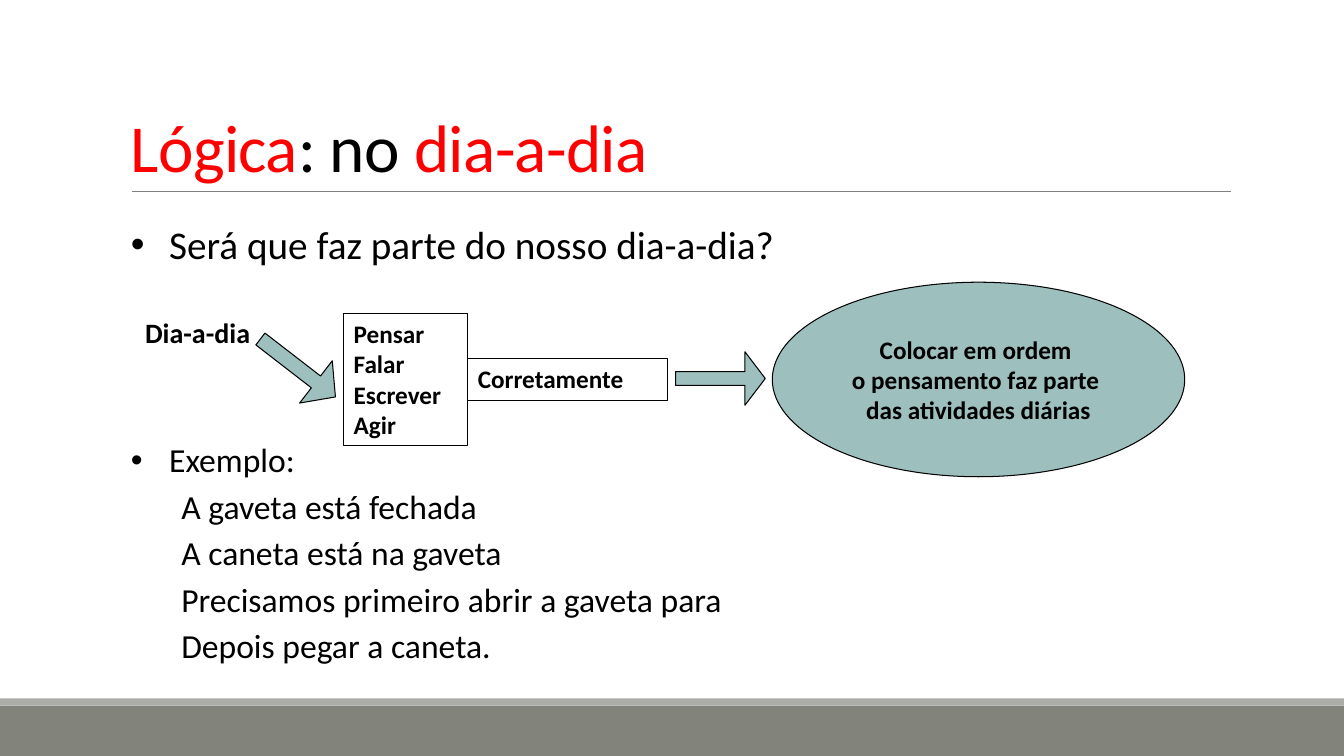
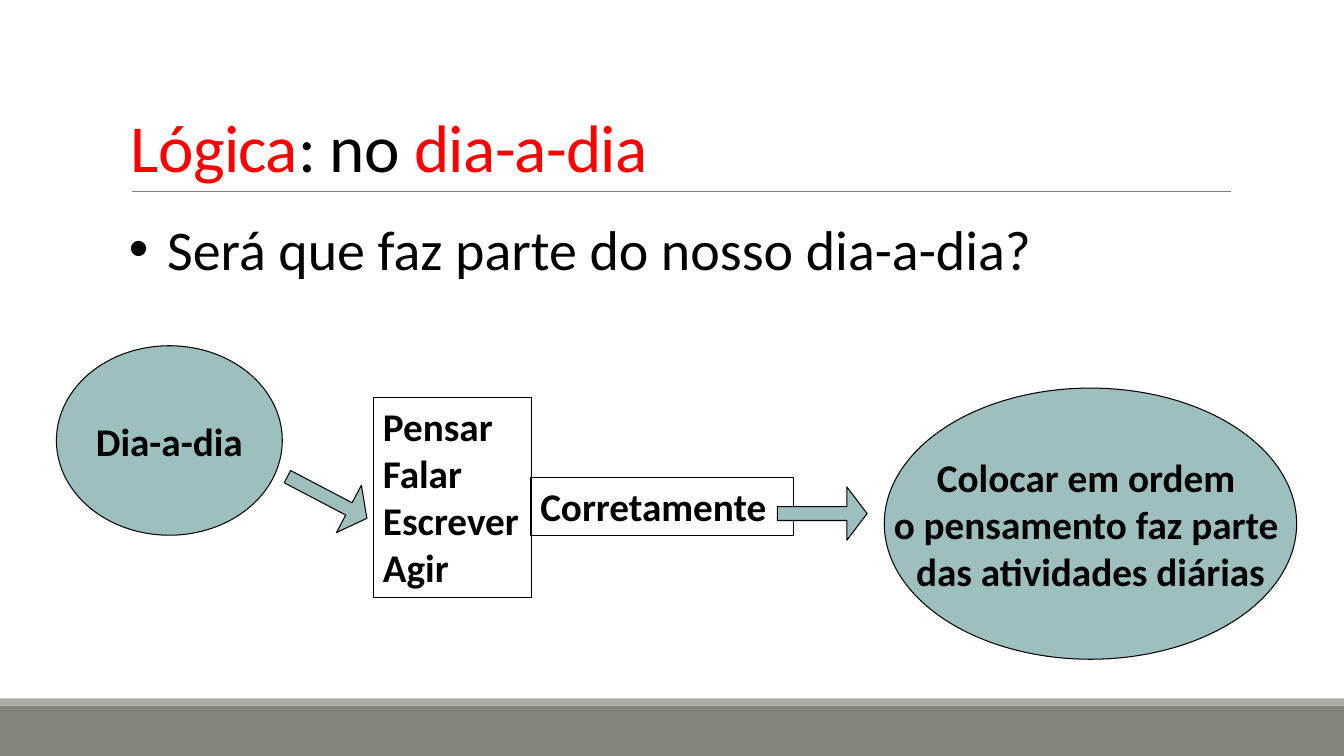
import pptx
import pptx.util
import pptx.dml.color
import pptx.enum.shapes
import pptx.enum.text
import lxml.etree

PX = 9144
NS = "{http://schemas.openxmlformats.org/drawingml/2006/main}"
SHAPE = pptx.enum.shapes.MSO_SHAPE
ANCHOR = pptx.enum.text.MSO_ANCHOR
ALIGN = pptx.enum.text.PP_ALIGN

VERBS = ["Pensar", "Falar", "Escrever", "Agir"]
GOAL = ["Colocar em ordem ", "o pensamento faz parte ", "das atividades diárias"]
QUESTION = "Será que faz parte do nosso dia-a-dia?"
EXAMPLE = [
    "A gaveta está fechada",
    "A caneta está na gaveta",
    "Precisamos primeiro abrir a gaveta para",
    "Depois pegar a caneta.",
]


def px(n):
    return pptx.util.Emu(n * PX)


def rgb(value):
    return pptx.dml.color.RGBColor.from_string(value)


class Deck:
    font = "Calibri"
    black = "000000"
    white = "FFFFFF"
    red = "FF0000"
    teal = "9DBFBE"
    grey = "808080"
    band = "82847C"
    band_edge = "ACADA8"

    def __init__(self):
        self.prs = pptx.Presentation()
        self.prs.slide_width, self.prs.slide_height = px(1333), px(750)
        self.s = None

    def slide(self):
        self.s = self.prs.slides.add_slide(self.prs.slide_layouts[6])
        self.shape(SHAPE.RECTANGLE, (0, 700, 1333, 50), self.band, None)
        self.shape(SHAPE.RECTANGLE, (0, 693, 1333, 7), self.band_edge, None)
        self.rule(131, 190, 1221)
        self.title([("Lógica", self.red), (": no ", self.black), ("dia-a-dia", self.red)])

    def rule(self, left, y, right):
        line = self.s.shapes.add_connector(
            pptx.enum.shapes.MSO_CONNECTOR.STRAIGHT, px(left), px(y), px(right), px(y))
        line.line.color.rgb = rgb(self.grey)
        line.line.width = pptx.util.Pt(0.5)
        lxml.etree.SubElement(line._element.spPr, NS + "effectLst")

    def shape(self, kind, box, fill, line=black):
        sp = self.s.shapes.add_shape(kind, *map(px, box))
        sp.shadow.inherit = False
        if fill:
            sp.fill.solid()
            sp.fill.fore_color.rgb = rgb(fill)
        else:
            sp.fill.background()
        if line:
            sp.line.color.rgb = rgb(line)
            sp.line.width = pptx.util.Pt(0.75)
        else:
            sp.line.fill.background()
        return sp

    def style_run(self, r, size, color=black, bold=False):
        r.font.name = self.font
        r.font.size = pptx.util.Pt(size)
        r.font.bold = bold
        r.font.color.rgb = rgb(color)

    def label(self, sp, lines, size, align, anchor, wrap):
        tf = sp.text_frame
        tf.text = "\n".join(lines)
        tf.word_wrap = wrap
        tf.vertical_anchor = anchor
        for p in tf.paragraphs:
            p.alignment = align
            self.style_run(p.runs[0], size, bold=True)

    def box(self, box, lines, size, fill=None, line=black):
        sp = self.shape(SHAPE.RECTANGLE, box, fill, line)
        self.label(sp, lines, size, ALIGN.LEFT, ANCHOR.TOP, True)

    def ellipse(self, box, lines, size):
        sp = self.shape(SHAPE.OVAL, box, self.teal)
        self.label(sp, lines, size, ALIGN.CENTER, ANCHOR.MIDDLE, False)

    def arrow(self, box, rotation, shaft=0.26, head=0.38):
        sp = self.shape(SHAPE.DOWN_ARROW, box, self.teal)
        sp.rotation = rotation
        sp.adjustments[0] = shaft
        sp.adjustments[1] = head

    def text_box(self, box):
        tf = self.s.shapes.add_textbox(*map(px, box)).text_frame
        tf.word_wrap = True
        return tf

    def title(self, parts):
        tf = self.text_box((120, 31, 1100, 159))
        tf.vertical_anchor = ANCHOR.BOTTOM
        p = tf.paragraphs[0]
        p.line_spacing = 0.85
        for text, color in parts:
            r = p.add_run()
            r.text = text
            self.style_run(r, 48, color)
            r.font._element.set("spc", "-50")

    def bullets(self, box, heading, size, details=()):
        tf = self.text_box(box)
        tf.text = "\n".join([heading, *details])
        for i, p in enumerate(tf.paragraphs):
            self.style_run(p.runs[0], size)
            pPr = p._p.get_or_add_pPr()
            margin, indent = (81, -31) if i else (38, -38)
            pPr.set("marL", str(px(margin)))
            pPr.set("indent", str(px(indent)))
            if i:
                p.level = 1
                p.space_before = pptx.util.Pt(4.3)
            else:
                lxml.etree.SubElement(pPr, NS + "buFont", typeface="Arial")
                lxml.etree.SubElement(pPr, NS + "buChar", char="•")


def main():
    deck = Deck()

    deck.slide()
    deck.bullets((120, 214, 1167, 60), QUESTION, 28)
    deck.bullets((120, 431, 1167, 250), "Exemplo:", 24, EXAMPLE)
    deck.box((134, 308, 137, 44), ["Dia-a-dia"], 20, deck.white, None)
    deck.arrow((269, 318, 53, 94), 307.7, 0.28, 0.46)
    deck.box((341, 311, 123, 131), VERBS, 18)
    deck.box((464, 356, 198, 41), ["Corretamente"], 18)
    deck.ellipse((766, 280, 409, 193), GOAL, 18)
    deck.arrow((688, 331, 53, 89), 270)

    deck.slide()
    deck.bullets((118, 208, 1167, 74), QUESTION, 40)
    deck.box((370, 394, 157, 199), VERBS, 28)
    deck.box((526, 474, 261, 57), ["Corretamente"], 28)
    deck.ellipse((877, 385, 409, 269), GOAL, 28)
    deck.arrow((789, 465, 53, 89), 270)
    deck.ellipse((56, 343, 224, 188), ["Dia-a-dia"], 28)
    deck.arrow((298, 449, 53, 89), 297.7)

    deck.prs.save("out.pptx")


if __name__ == "__main__":
    main()
